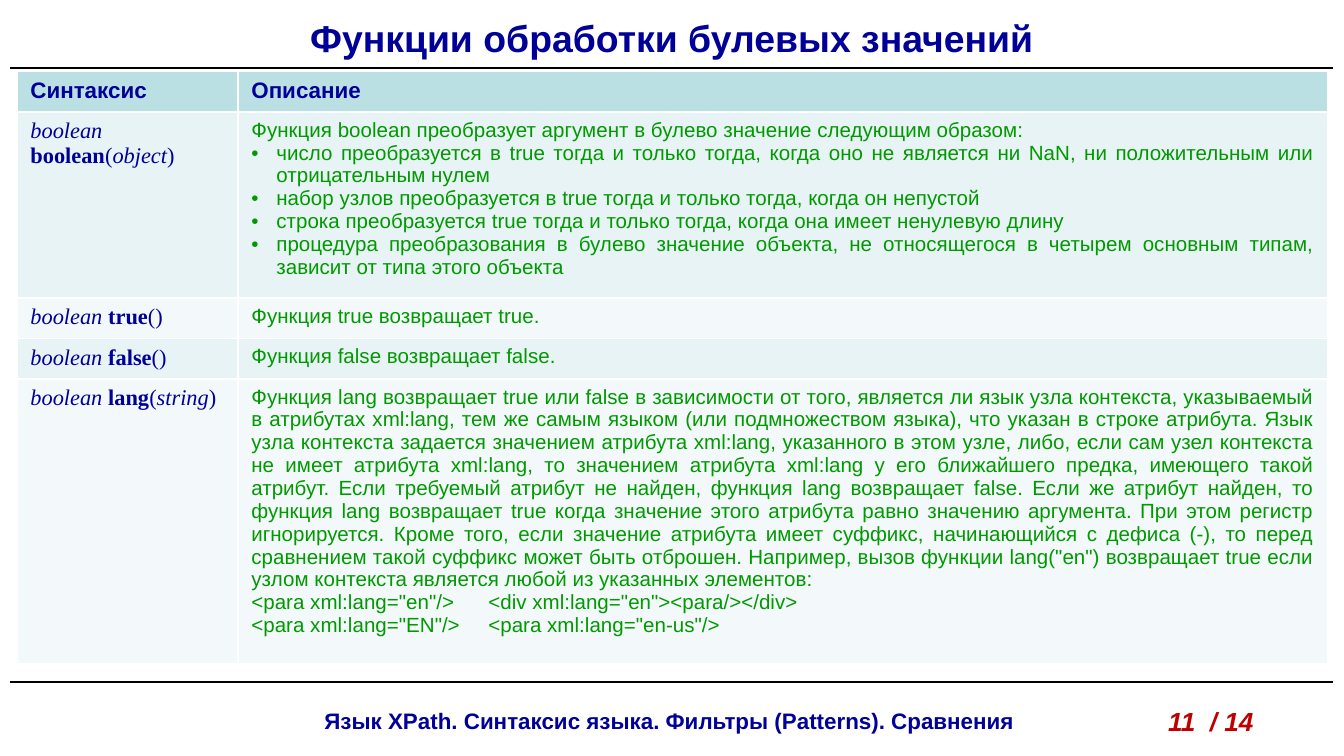
from lxml import etree
from pptx import Presentation
from pptx import util as u
from pptx.dml.color import RGBColor
from pptx.enum import shapes, text
from pptx.oxml import ns

PX = 6804  # EMU in one px
NAVY = RGBColor(0x00, 0x00, 0x99)
GREEN = RGBColor(0x00, 0x99, 0x00)
RED = RGBColor(0xC0, 0x00, 0x00)
BLACK = RGBColor(0x00, 0x00, 0x00)
HEAD = RGBColor(0xBB, 0xE0, 0xE3)
BANDS = (RGBColor(0xE7, 0xF3, 0xF4), RGBColor(0xF3, 0xF9, 0xFA))
SANS, SERIF = "Arial", "Times New Roman"
ALIGN = text.PP_ALIGN

COLS = (221, 1090)
ROWS = (41, 185, 40, 40, 285)
INDENT = 25
TAB = 237

# Sentences of the longest description
LANG = (
    "Функция lang возвращает true или false в зависимости от того, является ли "
    "язык узла контекста, указываемый в атрибутах xml:lang, тем же самым языком "
    "(или подмножеством языка), что указан в строке атрибута.",
    "Язык узла контекста задается значением атрибута xml:lang, указанного в этом "
    "узле, либо, если сам узел контекста не имеет атрибута xml:lang, то значением "
    "атрибута xml:lang у его ближайшего предка, имеющего такой атрибут.",
    "Если требуемый атрибут не найден, функция lang возвращает false.",
    "Если же атрибут найден, то функция lang возвращает true когда значение этого "
    "атрибута равно значению аргумента.",
    "При этом регистр игнорируется.",
    "Кроме того, если значение атрибута имеет суффикс, начинающийся с дефиса (-), "
    "то перед сравнением такой суффикс может быть отброшен.",
    'Например, вызов функции lang("en") возвращает true если узлом контекста '
    "является любой из указанных элементов:",
)

# Function name, argument, description paragraphs
FUNCS = [
    ("boolean", "object", [
        "Функция boolean преобразует аргумент в булево значение следующим образом:",
        "• число преобразуется в true тогда и только тогда, когда оно не является "
        "ни NaN, ни положительным или отрицательным нулем",
        "• набор узлов преобразуется в true тогда и только тогда, когда он непустой",
        "• строка преобразуется true тогда и только тогда, когда она имеет "
        "ненулевую длину",
        "• процедура преобразования в булево значение объекта, не относящегося в "
        "четырем основным типам, зависит от типа этого объекта",
    ]),
    ("true", "", ["Функция true возвращает true."]),
    ("false", "", ["Функция false возвращает false."]),
    ("lang", "string", [
        " ".join(LANG),
        '<para xml:lang="en"/>\t<div xml:lang="en"><para/></div>',
        '<para xml:lang="EN"/>\t<para xml:lang="en-us"/>',
    ]),
]


def add_run(para, words, size, color, font=SANS, bold=False, italic=False):
    run = para.add_run()
    run.text = words
    face = run.font
    face.name, face.size = font, u.Pt(size)
    face.bold, face.italic = bold, italic
    face.color.rgb = color


def add_label(slide, box, words, size, color, align, italic=False):
    frame = slide.shapes.add_textbox(*(n * PX for n in box)).text_frame
    frame.word_wrap = True
    frame.vertical_anchor = text.MSO_ANCHOR.MIDDLE
    para = frame.paragraphs[0]
    para.alignment = align
    add_run(para, words, size, color, bold=True, italic=italic)


def add_rule(slide, top):
    rule = slide.shapes.add_connector(
        shapes.MSO_CONNECTOR.STRAIGHT, 10 * PX, top * PX, 1333 * PX, top * PX)
    rule.line.color.rgb = BLACK
    rule.line.width = u.Pt(0.75)
    etree.SubElement(rule.element.spPr, ns.qn("a:effectLst"))


def set_bullet(para):
    props = para._p.get_or_add_pPr()
    props.set("marL", str(INDENT * PX))
    props.set("indent", str(-INDENT * PX))
    face = etree.SubElement(props, ns.qn("a:buFont"))
    face.set("typeface", SANS)
    etree.SubElement(props, ns.qn("a:buChar")).set("char", "•")


def set_tab(para):
    stops = etree.SubElement(para._p.get_or_add_pPr(), ns.qn("a:tabLst"))
    stop = etree.SubElement(stops, ns.qn("a:tab"))
    stop.set("pos", str(TAB * PX))
    stop.set("algn", "l")


def paint(cell, color):
    cell.fill.solid()
    cell.fill.fore_color.rgb = color


def fill_syntax(cell, name, arg):
    """Write the return type, name and argument of a function."""
    para = cell.text_frame.paragraphs[0]
    parts = [("boolean ", False, True), (name, True, False)]
    if arg:
        parts += [("(", False, False), (arg, False, True), (")", False, False)]
    else:
        parts.append(("()", False, False))
    for words, bold, italic in parts:
        add_run(para, words, 12, NAVY, SERIF, bold, italic)


def fill_notes(cell, notes):
    """Write description paragraphs, with bullets and tabs where marked."""
    frame = cell.text_frame
    for i, note in enumerate(notes):
        para = frame.add_paragraph() if i else frame.paragraphs[0]
        para.alignment = ALIGN.JUSTIFY
        if note.startswith("• "):
            set_bullet(para)
        if "\t" in note:
            set_tab(para)
        add_run(para, note.removeprefix("• "), 11, GREEN)


def add_grid(slide):
    table = slide.shapes.add_table(
        len(ROWS), len(COLS), 17 * PX, 71 * PX,
        sum(COLS) * PX, sum(ROWS) * PX).table
    for col, width in zip(table.columns, COLS):
        col.width = width * PX
    for row, height in zip(table.rows, ROWS):
        row.height = height * PX
    for cell, words in zip(table.rows[0].cells, ("Синтаксис", "Описание")):
        paint(cell, HEAD)
        add_run(cell.text_frame.paragraphs[0], words, 12, NAVY, bold=True)
    for i, (name, arg, notes) in enumerate(FUNCS):
        left, right = table.rows[i + 1].cells
        for cell in (left, right):
            paint(cell, BANDS[i % 2])
        fill_syntax(left, name, arg)
        fill_notes(right, notes)


def main():
    deck = Presentation()
    deck.slide_width, deck.slide_height = 1344 * PX, 756 * PX
    slide = deck.slides.add_slide(deck.slide_layouts[6])
    add_label(slide, (168, 700, 1003, 40),
              "Язык XPath. Синтаксис языка. Фильтры (Patterns). Сравнения",
              12, NAVY, ALIGN.CENTER)
    for top in (682, 68):
        add_rule(slide, top)
    add_label(slide, (1155, 698, 137, 46), "11  / 14", 14, RED, ALIGN.LEFT, True)
    add_label(slide, (0, 8, 1344, 60), "Функции обработки булевых значений",
              20, NAVY, ALIGN.CENTER)
    add_grid(slide)
    deck.save("out.pptx")


if __name__ == "__main__":
    main()
